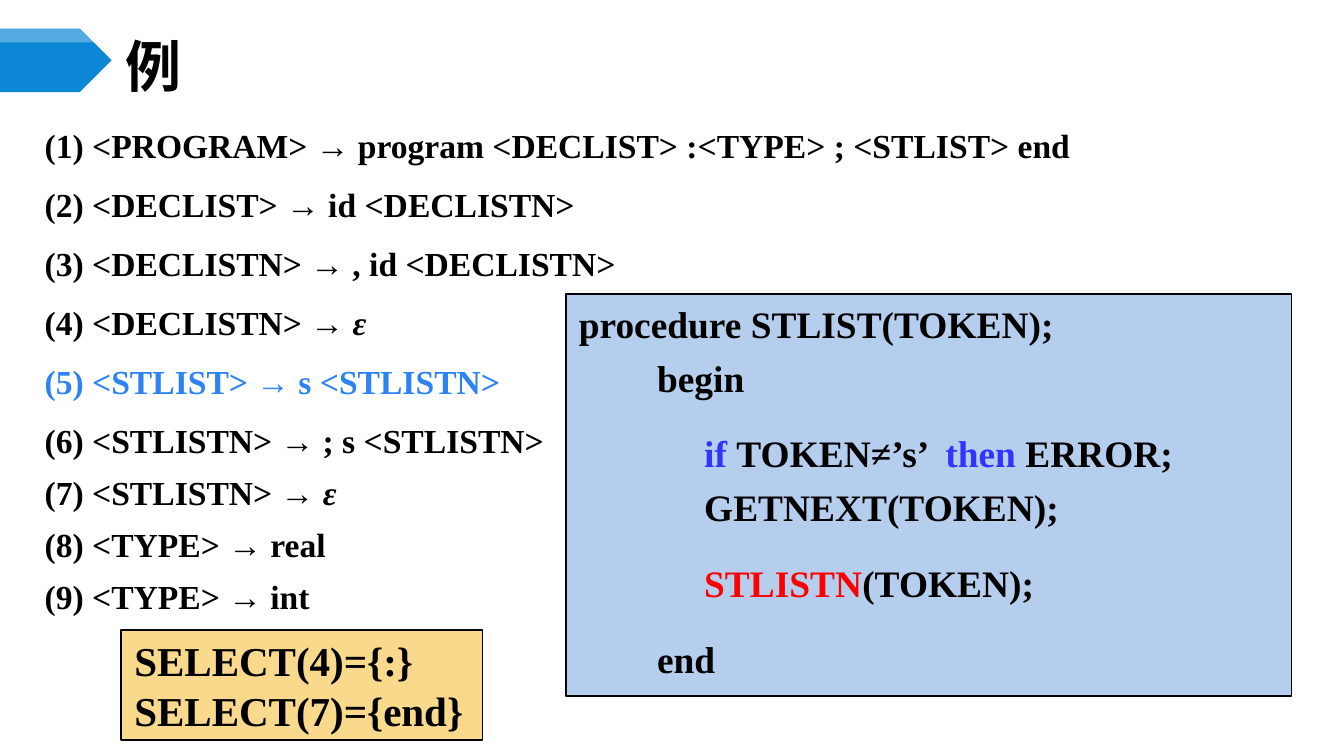
import pptx
import pptx.util
import pptx.dml.color
import pptx.enum.shapes
import pptx.enum.text
import pptx.oxml.ns
import lxml.etree

Cm, Pt = pptx.util.Cm, pptx.util.Pt
qn = pptx.oxml.ns.qn
MSO = pptx.enum.shapes.MSO_SHAPE
ANCHOR = pptx.enum.text.MSO_ANCHOR
LATIN, CJK = "Times New Roman", "Noto Sans CJK SC"
COLORS = {"black": "000000", "white": "FFFFFF", "banner": "0B87D6",
          "select": "F9D98C", "code": "B5CEED", "rule": "2D83F4",
          "keyword": "3333FF", "call": "FF0000"}

prs = pptx.Presentation()
prs.slide_width, prs.slide_height = Cm(25.4), Cm(14.29)
s = prs.slides.add_slide(prs.slide_layouts[1])


def add_box(kind, x, y, w, h, fill, line=None):
    sp = s.shapes.add_shape(kind, Cm(x), Cm(y), Cm(w), Cm(h))
    sp.shadow.inherit = False
    sp.fill.solid()
    sp.fill.fore_color.rgb = pptx.dml.color.RGBColor.from_string(COLORS[fill])
    if line:
        sp.line.color.rgb = pptx.dml.color.RGBColor.from_string(COLORS[line])
        sp.line.width = Pt(1)
    else:
        sp.line.fill.background()
    return sp


def add_run(p, text, size, color="black", italic=False, font=LATIN):
    p.alignment = pptx.enum.text.PP_ALIGN.LEFT
    r = p.add_run()
    r.text = text
    r.font.size, r.font.name = Pt(size), font
    r.font.bold, r.font.italic = True, italic
    r.font.color.rgb = pptx.dml.color.RGBColor.from_string(COLORS[color])
    if font == CJK:
        lxml.etree.SubElement(r._r.get_or_add_rPr(), qn("a:ea"), typeface=font)


add_box(MSO.PENTAGON, 0, 0.54, 2.11, 1.2, "banner")
stripe = add_box(MSO.PENTAGON, 0, 0.54, 2.11, 0.26, "white")
tint = stripe.fill._xPr.find(qn("a:solidFill"))[0]
lxml.etree.SubElement(tint, qn("a:alpha"), val="30000")

title = s.shapes.title
title.left, title.top, title.width, title.height = Cm(2.11), Cm(0.74), Cm(10.8), Cm(1)
title.text_frame.auto_size = pptx.enum.text.MSO_AUTO_SIZE.NONE
title.text_frame.vertical_anchor = ANCHOR.MIDDLE
add_run(title.text_frame.paragraphs[0], "例", 30, font=CJK)

rules = ["<PROGRAM> → program <DECLIST> :<TYPE> ; <STLIST> end",
         "<DECLIST> → id <DECLISTN>", "<DECLISTN> → , id <DECLISTN>",
         "<DECLISTN> → ε", "<STLIST> → s <STLISTN>",
         "<STLISTN> → ; s <STLISTN>", "<STLISTN> → ε",
         "<TYPE> → real", "<TYPE> → int"]
body = s.placeholders[1]
body.left, body.top, body.width, body.height = Cm(0.59), Cm(2), Cm(24.2), Cm(9.8)
tf = body.text_frame
tf.auto_size = pptx.enum.text.MSO_AUTO_SIZE.NONE
for n, rule in enumerate(rules, 1):
    p = tf.paragraphs[0] if n == 1 else tf.add_paragraph()
    pPr = p._p.get_or_add_pPr()
    pPr.set("marL", str(Cm(0.95)))
    pPr.set("indent", str(-Cm(0.95)))
    lxml.etree.SubElement(pPr, qn("a:buNone"))
    p.line_spacing = Pt(28)
    p.space_before = Pt(3.6 if 1 < n < 7 else 0)
    color = "rule" if n == 5 else "black"
    add_run(p, f"({n}) {rule.removesuffix('ε')}", 18, color)
    if rule.endswith("ε"):
        add_run(p, "ε", 18, color, italic=True)

code = add_box(MSO.RECTANGLE, 10.69, 5.56, 13.72, 7.6, "code", "black")
code_lines = [
    (0, 0, [("procedure STLIST(TOKEN);", "black")]),
    (1.48, 5, [("begin", "black")]),
    (2.37, 16.5, [("if ", "keyword"), ("TOKEN≠’s’  ", "black"),
                  ("then ", "keyword"), ("ERROR;", "black")]),
    (2.37, 5, [("GETNEXT(TOKEN);", "black")]),
    (2.37, 16.5, [("STLISTN", "call"), ("(TOKEN);", "black")]),
    (1.48, 16.5, [("end", "black")])]
select = add_box(MSO.RECTANGLE, 2.29, 11.91, 6.83, 2.08, "select", "black")
select_lines = [(0, 0, [("SELECT(4)={:}", "black")]),
                (0, 0, [("SELECT(7)={end}", "black")])]

for sp, lines, size, anchor in [(code, code_lines, 20, ANCHOR.TOP),
                                (select, select_lines, 22, ANCHOR.MIDDLE)]:
    tf = sp.text_frame
    tf.word_wrap = sp is code
    tf.vertical_anchor = anchor
    for i, (indent, before, runs) in enumerate(lines):
        p = tf.add_paragraph() if i else tf.paragraphs[0]
        p._p.get_or_add_pPr().set("marL", str(Cm(indent)))
        p.space_before = Pt(before)
        for text, color in runs:
            add_run(p, text, size, color)

prs.save("out.pptx")
